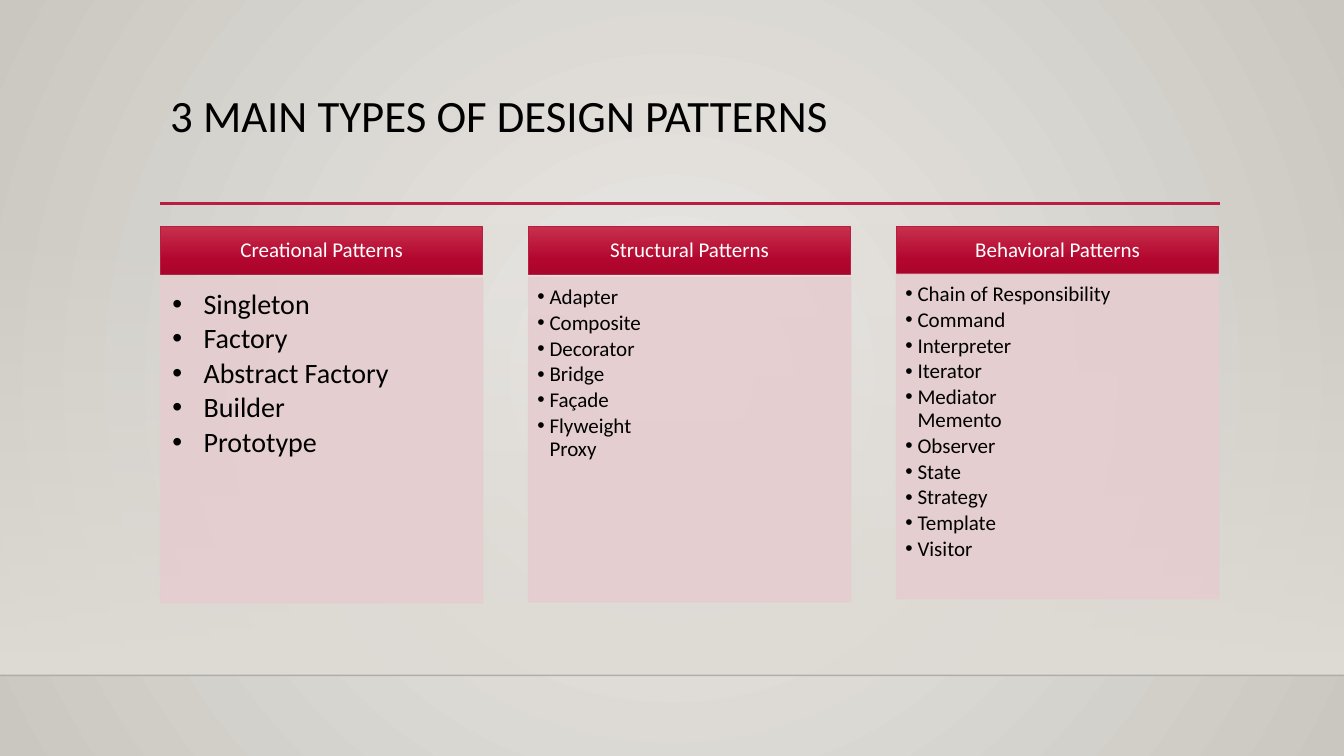
from copy import deepcopy

from lxml.etree import SubElement as Sub
from pptx import Presentation
from pptx.dml.color import RGBColor as RGB
from pptx.enum.shapes import MSO_CONNECTOR as LINE, MSO_SHAPE as SHAPE
from pptx.enum.text import MSO_ANCHOR as ANCHOR, PP_ALIGN as ALIGN
from pptx.oxml.ns import qn
from pptx.util import Inches, Pt

WIDTH, HEIGHT = 13.33, 7.5
FONT = "Calibri"
COLORS = {
    "glow": "ECEAE7", "edge": "CAC7C1", "floor": "DFDBD5", "seam": "000001",
    "red": "B71E42", "light": "C7304C", "mid": "B3062F", "deep": "AA062C",
    "pink": "E6CDCF", "black": "000000", "white": "FFFFFF",
}
# Heading, body top, text size, indent, insets, items
COLUMNS = [
    ("Creational Patterns", 2.76, 20, 0.31, (0.12, 0.12, 0.16, 0.17),
     ["Singleton", "Factory", "Abstract Factory", "Builder", "Prototype"]),
    ("Structural Patterns", 2.75, 15, 0.12, (0.09, 0.09, 0.12, 0.13),
     ["Adapter", "Composite", "Decorator", "Bridge", "Façade",
      "Flyweight\vProxy"]),
    ("Behavioral Patterns", 2.72, 15, 0.12, (0.09, 0.09, 0.12, 0.13),
     ["Chain of Responsibility", "Command", "Interpreter", "Iterator",
      "Mediator\vMemento", "Observer", "State", "Strategy", "Template",
      "Visitor"]),
]


def color(name):
    return RGB.from_string(COLORS[name])


def fade(shape, percent):
    """Make the fill and line of a shape partly transparent."""
    for tone in shape._element.spPr.iter(qn("a:srgbClr")):
        Sub(tone, qn("a:alpha"), val=str(percent * 1000))


def blend(fill, root, stops, radial=False):
    """Fill with (position, colour, opacity) stops, downward or from the centre."""
    fill.gradient()
    grad = next(root.iter(qn("a:gradFill")))
    for child in list(grad):
        grad.remove(child)
    items = Sub(grad, qn("a:gsLst"))
    for pos, name, alpha in stops:
        stop = Sub(items, qn("a:gs"), pos=str(pos * 1000))
        tone = Sub(stop, qn("a:srgbClr"), val=COLORS[name])
        if alpha < 100:
            Sub(tone, qn("a:alpha"), val=str(alpha * 1000))
    if radial:
        ring = Sub(grad, qn("a:path"), path="circle")
        Sub(ring, qn("a:fillToRect"), l="50000", t="50000", r="50000", b="50000")
    else:
        Sub(grad, qn("a:lin"), ang="5400000", scaled="0")


def add_rect(slide, box):
    rect = slide.shapes.add_shape(SHAPE.RECTANGLE, *map(Inches, box))
    rect.shadow.inherit = False
    return rect


def add_line(slide, left, right, y, name, width):
    line = slide.shapes.add_connector(
        LINE.STRAIGHT, Inches(left), Inches(y), Inches(right), Inches(y))
    line.line.color.rgb = color(name)
    line.line.width = Pt(width)
    Sub(line._element.spPr, qn("a:effectLst"))
    return line


def set_frame(shape, insets, anchor):
    frame = shape.text_frame
    left, top, right, bottom = map(Inches, insets)
    values = {"word_wrap": True, "vertical_anchor": anchor, "margin_left": left,
              "margin_top": top, "margin_right": right, "margin_bottom": bottom}
    for key, value in values.items():
        setattr(frame, key, value)
    return frame


def write(para, text, size, name, align=ALIGN.LEFT, after=0):
    para.text = text
    for key, value in {"alignment": align, "line_spacing": 0.9,
                       "space_after": Pt(size * after)}.items():
        setattr(para, key, value)
    for run in para.runs:
        for key, value in {"name": FONT, "size": Pt(size)}.items():
            setattr(run.font, key, value)
        run.font.color.rgb = color(name)
    for gap in para._p.findall(qn("a:br")):
        gap.insert(0, deepcopy(para.runs[0]._r.rPr))


def add_bullet(para, indent):
    para.level = 1
    props = para._p.get_or_add_pPr()
    props.set("marL", str(Inches(indent)))
    props.set("indent", str(-Inches(indent)))
    Sub(props, qn("a:buFont"), typeface="Arial")
    Sub(props, qn("a:buChar"), char="•")


def draw_back(slide):
    blend(slide.background.fill, slide._element,
          [(0, "glow", 100), (100, "edge", 100)], radial=True)
    floor = add_rect(slide, (0, 2.21, WIDTH, 4.49))
    blend(floor.fill, floor._element, [(0, "floor", 0), (100, "floor", 100)])
    floor.line.fill.background()
    fade(add_line(slide, 0, WIDTH, 6.7, "seam", 1), 20)


def draw_title(slide, left, top, width, height):
    add_line(slide, left, left + 10.51, top + 1.14, "red", 2.5)
    box = slide.shapes.add_textbox(*map(Inches, (left, top, width, height)))
    frame = set_frame(box, (0.1, 0.05, 0.1, 0.05), ANCHOR.TOP)
    write(frame.paragraphs[0], "3 MAIN TYPES OF DESIGN PATTERNS", 32, "black")


def draw_column(slide, left, top, width, column):
    heading, body_top, size, indent, insets, items = column
    head = add_rect(slide, (left, top, width, 0.47))
    blend(head.fill, head._element,
          [(0, "light", 100), (69, "mid", 100), (100, "deep", 100)])
    head.line.color.rgb = color("red")
    head.line.width = Pt(0.75)
    frame = set_frame(head, (0.12, 0.07, 0.12, 0.07), ANCHOR.MIDDLE)
    write(frame.paragraphs[0], heading, 15, "white", ALIGN.CENTER, 0.35)

    body = add_rect(slide, (left, body_top, width, 3.22))
    body.fill.solid()
    body.fill.fore_color.rgb = color("pink")
    body.line.color.rgb = color("pink")
    body.line.width = Pt(0.75)
    fade(body, 90)
    frame = set_frame(body, insets, ANCHOR.TOP)
    for i, item in enumerate(items):
        para = frame.add_paragraph() if i else frame.paragraphs[0]
        add_bullet(para, indent)
        write(para, item, size, "black", after=0.15)


def main():
    deck = Presentation()
    deck.slide_width, deck.slide_height = Inches(WIDTH), Inches(HEIGHT)
    slide = deck.slides.add_slide(deck.slide_layouts[6])
    draw_back(slide)
    draw_title(slide, 1.59, 0.88, 10.5, 1.15)
    for i, column in enumerate(COLUMNS):
        draw_column(slide, 1.59 + i * 3.65, 2.25, 3.2, column)
    deck.save("out.pptx")


if __name__ == "__main__":
    main()
